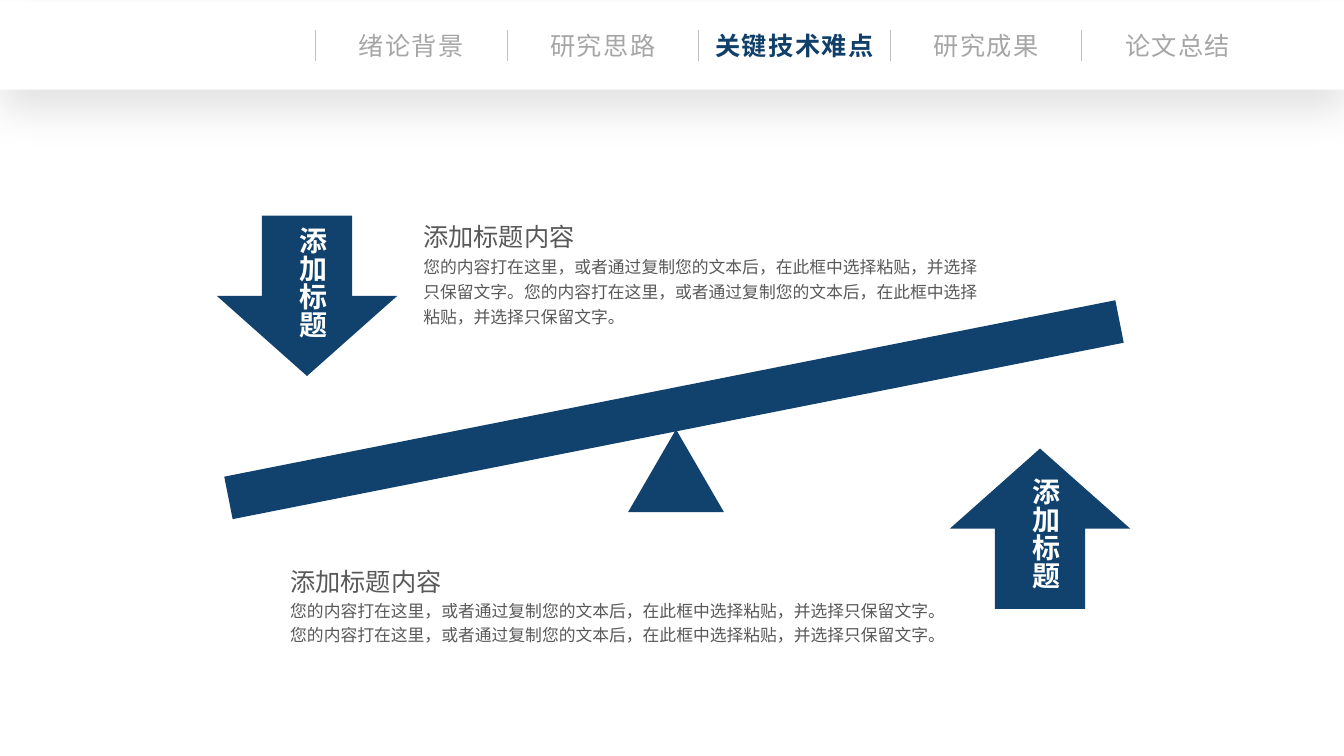
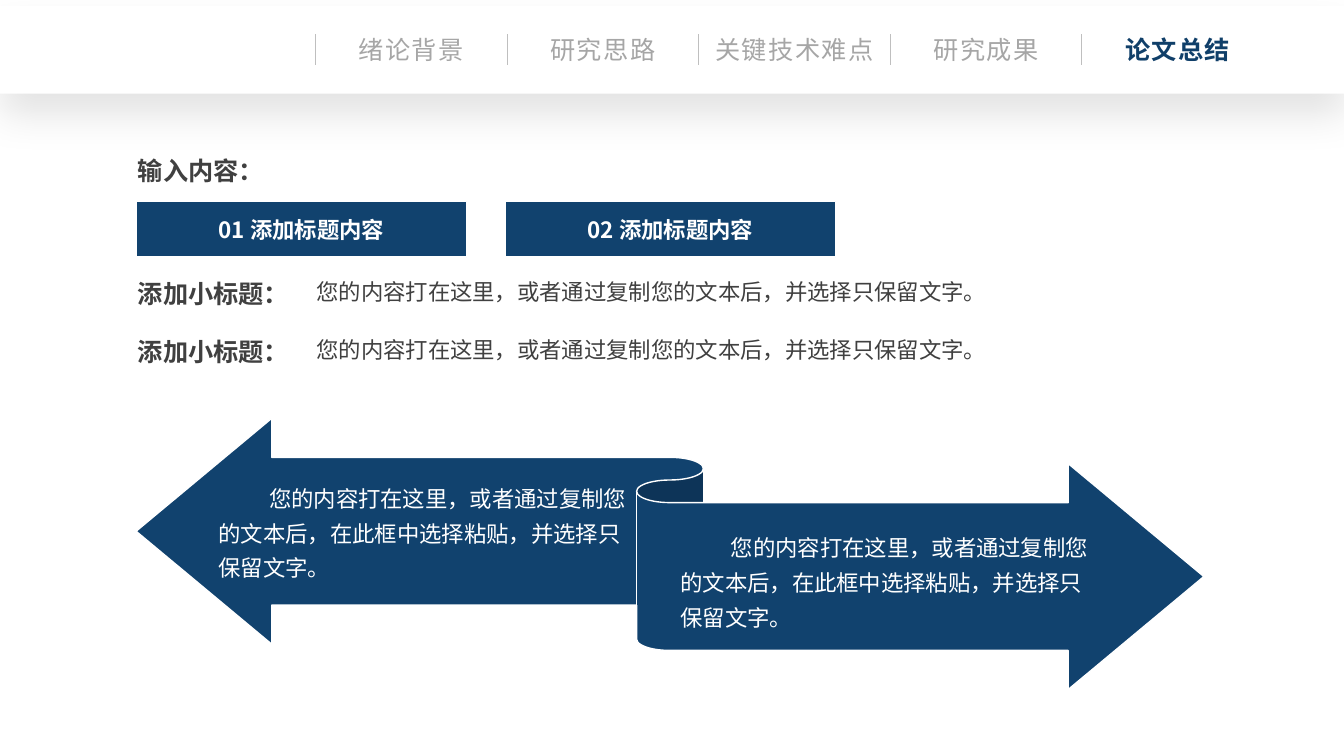
from lxml import etree
from pptx import Presentation
from pptx.dml.color import RGBColor
from pptx.enum.shapes import MSO_CONNECTOR, MSO_SHAPE
from pptx.enum.text import MSO_ANCHOR, MSO_AUTO_SIZE, PP_ALIGN
from pptx.oxml.ns import qn
from pptx.util import Emu, Inches, Pt

RECTANGLE, TRIANGLE = MSO_SHAPE.RECTANGLE, MSO_SHAPE.ISOSCELES_TRIANGLE
DOWN_ARROW, UP_ARROW = MSO_SHAPE.DOWN_ARROW, MSO_SHAPE.UP_ARROW
RIBBON = MSO_SHAPE.LEFT_RIGHT_RIBBON
STRAIGHT = MSO_CONNECTOR.STRAIGHT
LEFT, CENTER = PP_ALIGN.LEFT, PP_ALIGN.CENTER
TOP, MIDDLE = MSO_ANCHOR.TOP, MSO_ANCHOR.MIDDLE

FONT = "Noto Sans CJK SC"
NAVY = RGBColor(0x11, 0x42, 0x6E)
ACTIVE = RGBColor(0x10, 0x3F, 0x69)
WHITE = RGBColor(0xFF, 0xFF, 0xFF)
TAB_GRAY = RGBColor(0xA6, 0xA6, 0xA6)
RULE_GRAY = RGBColor(0xBF, 0xBF, 0xBF)
TEXT_GRAY = RGBColor(0x59, 0x59, 0x59)
DARK_GRAY = RGBColor(0x40, 0x40, 0x40)

WIDTH, HEIGHT = 13.33, 7.5
TAB_LEFT, TAB_STEP, TAB_WIDTH = 3.13, 1.9, 1.8
TABS = ["绪论背景", "研究思路", "关键技术难点", "研究成果", "论文总结"]

HEADING = "添加标题内容"
ARROW_LABEL = "添加标题"
BODY = "您的内容打在这里，或者通过复制您的文本后，在此框中选择粘贴，并选择只保留文字。"
SEESAW_TEXTS = [
    ((4.1, 2.07, 5.81, 1.24), 1.25, 1.25),
    ((2.78, 5.42, 6.62, 1.04), 1.5, 1.2),
]
SEESAW_ARROWS = [
    (DOWN_ARROW, 2.15, 2.14, 0.01),
    (UP_ARROW, 9.42, 4.45, 0.19),
]

INTRO = "输入内容："
BUTTONS = ["01 添加标题内容", "02 添加标题内容"]
POINTS = [("添加小标题：", "您的内容打在这里，或者通过复制您的文本后，并选择只保留文字。")] * 2
RIBBON_TEXTS = [(2.07, 4.68), (6.65, 5.17)]


def inches(*lengths):
    return [Inches(length) for length in lengths]


def write(frame, text, size=16, color=DARK_GRAY, bold=False, align=LEFT,
          line=1.0, indent=0, spacing=0, first=True):
    para = frame.paragraphs[0] if first else frame.add_paragraph()
    para.alignment = align
    para.line_spacing = line
    if indent:
        properties = para._p.get_or_add_pPr()
        properties.set("marL", "0")
        properties.set("indent", str(Inches(indent)))
    span = para.add_run()
    span.text = text
    span.font.size = Pt(size)
    span.font.bold = bold
    span.font.color.rgb = color
    span.font.name = FONT
    run_properties = span._r.get_or_add_rPr()
    etree.SubElement(run_properties, qn("a:ea")).set("typeface", FONT)
    if spacing:
        run_properties.set("spc", str(spacing * 100))


def set_frame(box, wrap=True, anchor=TOP):
    frame = box.text_frame
    frame.auto_size = MSO_AUTO_SIZE.NONE
    frame.word_wrap = wrap
    frame.vertical_anchor = anchor
    return frame


def add_text(page, area, text, wrap=True, anchor=TOP, **style):
    box = page.shapes.add_textbox(*inches(*area))
    frame = set_frame(box, wrap, anchor)
    write(frame, text, **style)
    return frame


def add_figure(page, kind, area, fill=NAVY, outline=None):
    figure = page.shapes.add_shape(kind, *inches(*area))
    figure.shadow.inherit = False
    figure.fill.solid()
    figure.fill.fore_color.rgb = fill
    if outline is None:
        figure.line.fill.background()
    else:
        figure.line.color.rgb = outline
        figure.line.width = Pt(1)
    return figure


def add_band(page, top):
    band = add_figure(page, RECTANGLE, (0, top, WIDTH, 0.87), WHITE)
    effects = band._element.spPr.find(qn("a:effectLst"))
    shadow = etree.SubElement(effects, qn("a:outerShdw"), blurRad=str(Pt(28)),
                              dist=str(Pt(15)), dir="5400000", algn="t",
                              rotWithShape="0")
    color = etree.SubElement(shadow, qn("a:srgbClr"), val="000000")
    etree.SubElement(color, qn("a:alpha"), val="11000")


def add_navigation(page, current, top):
    add_band(page, top)
    for index, label in enumerate(TABS):
        left = TAB_LEFT + index * TAB_STEP
        rule = page.shapes.add_connector(
            STRAIGHT, *inches(left, top + 0.28, left, top + 0.59))
        rule.line.color.rgb = RULE_GRAY
        rule.line.width = Pt(0.5)
        etree.SubElement(rule._element.spPr, qn("a:effectLst"))
        area = (left + (TAB_STEP - TAB_WIDTH) / 2, top + 0.23, TAB_WIDTH, 0.4)
        style = dict(size=18, align=CENTER, spacing=1)
        if index == current:
            title = page.shapes.title
            title.left, title.top, title.width, title.height = inches(*area)
            write(set_frame(title, wrap=False), label, color=ACTIVE, bold=True, **style)
            page.shapes._spTree.append(title._element)
        else:
            add_text(page, area, label, wrap=False, color=TAB_GRAY, **style)


def build_seesaw(page):
    for area, heading_line, body_line in SEESAW_TEXTS:
        frame = add_text(page, area, HEADING, size=18, color=TEXT_GRAY, line=heading_line)
        write(frame, BODY * 2, size=12, color=TEXT_GRAY, line=body_line, first=False)
    beam = add_figure(page, RECTANGLE, (2.18, 3.85, 9.01, 0.43))
    beam.rotation = 348.8
    for kind, left, top, offset in SEESAW_ARROWS:
        add_figure(page, kind, (left, top, 1.79, 1.59))
        frame = add_text(page, (left + 0.63, top + offset, 0.54, 1.37), ARROW_LABEL,
                         size=20, color=WHITE, bold=True, align=CENTER)
        frame._txBody.bodyPr.set("vert", "eaVert")
    add_figure(page, TRIANGLE, (6.23, 4.26, 0.95, 0.82))
    add_navigation(page, 2, 0.02)


def build_summary(page):
    label_style = dict(size=18, bold=True, anchor=MIDDLE)
    add_text(page, (1.27, 1.48, 2, 0.42), INTRO, **label_style)
    for column, label in enumerate(BUTTONS):
        button = add_figure(page, RECTANGLE, (1.35 + column * 3.66, 2, 3.28, 0.55),
                            outline=WHITE)
        write(set_frame(button, anchor=MIDDLE), label, color=WHITE, bold=True, align=CENTER)
    for row, (label, text) in enumerate(POINTS):
        top = 2.7 + row * 0.58
        add_text(page, (1.27, top, 1.8, 0.42), label, **label_style)
        add_text(page, (3.04, top + 0.01, 8.13, 0.37), text)
    ribbon = add_figure(page, RIBBON, (1.35, 4.15, 10.59, 2.69), outline=WHITE)
    for index, value in enumerate((0.545, 0.5, 0.167)):
        ribbon.adjustments[index] = value
    for left, top in RIBBON_TEXTS:
        add_text(page, (left, top, 4.25, 1.19), BODY, color=WHITE, line=1.3, indent=0.5)
    add_navigation(page, 4, 0.06)


def main():
    deck = Presentation()
    deck.slide_width, deck.slide_height = inches(WIDTH, HEIGHT)
    title_only = deck.slide_layouts[5]
    for build in (build_seesaw, build_summary):
        build(deck.slides.add_slide(title_only))
    deck.save("out.pptx")


if __name__ == "__main__":
    main()
